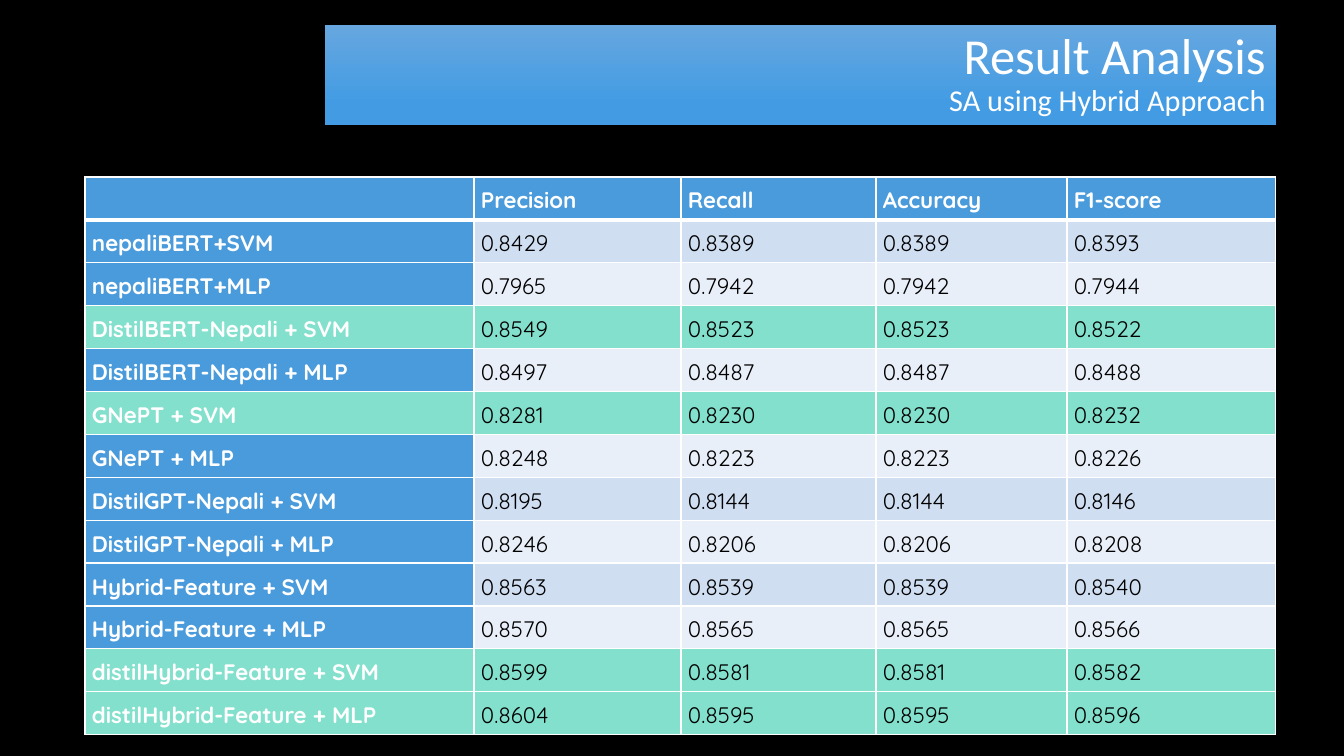
from lxml.etree import SubElement
from pptx import Presentation
from pptx.dml.color import RGBColor
from pptx.enum.text import MSO_ANCHOR, MSO_AUTO_SIZE, PP_ALIGN
from pptx.oxml.ns import qn
from pptx.util import Emu, Pt

TITLE_LINES = [("Result Analysis", 36), ("SA using Hybrid Approach", 21.6)]
METRICS = ["", "Precision", "Recall", "Accuracy", "F1-score"]
RESULTS = [
    ("nepaliBERT+SVM", "0.8429", "0.8389", "0.8389", "0.8393"),
    ("nepaliBERT+MLP", "0.7965", "0.7942", "0.7942", "0.7944"),
    ("DistilBERT-Nepali + SVM", "0.8549", "0.8523", "0.8523", "0.8522"),
    ("DistilBERT-Nepali + MLP", "0.8497", "0.8487", "0.8487", "0.8488"),
    ("GNePT + SVM", "0.8281", "0.8230", "0.8230", "0.8232"),
    ("GNePT + MLP", "0.8248", "0.8223", "0.8223", "0.8226"),
    ("DistilGPT-Nepali + SVM", "0.8195", "0.8144", "0.8144", "0.8146"),
    ("DistilGPT-Nepali + MLP", "0.8246", "0.8206", "0.8206", "0.8208"),
    ("Hybrid-Feature + SVM", "0.8563", "0.8539", "0.8539", "0.8540"),
    ("Hybrid-Feature + MLP", "0.8570", "0.8565", "0.8565", "0.8566"),
    ("distilHybrid-Feature + SVM", "0.8599", "0.8581", "0.8581", "0.8582"),
    ("distilHybrid-Feature + MLP", "0.8604", "0.8595", "0.8595", "0.8596"),
]
HIGHLIGHTED_ROWS = {3, 5, 11, 12}
COLUMN_WIDTHS = [389, 207, 195, 191, 209]

BLACK = RGBColor(0x00, 0x00, 0x00)
WHITE = RGBColor(0xFF, 0xFF, 0xFF)
BLUE = RGBColor(0x4A, 0x9B, 0xDC)
MINT = RGBColor(0x82, 0xE0, 0xCD)
BAND_DARK = RGBColor(0xD0, 0xDE, 0xF2)
BAND_LIGHT = RGBColor(0xE9, 0xEF, 0xF9)
TITLE_STOPS = [(0, RGBColor(0x66, 0xA7, 0xE0)), (0.78, RGBColor(0x43, 0x9C, 0xE3))]


def px(length):
    return Emu(round(length * 914400 / 100.8))


def add_title(slide):
    title = slide.shapes.title
    title.left, title.top, title.width, title.height = px(325), px(25), px(951), px(100)
    title.fill.gradient()
    title.fill.gradient_angle = 270
    for stop, (position, color) in zip(title.fill.gradient_stops, TITLE_STOPS):
        stop.position = position
        stop.color.rgb = color
    frame = title.text_frame
    frame.auto_size = MSO_AUTO_SIZE.NONE
    frame.vertical_anchor = MSO_ANCHOR.MIDDLE
    heading = frame.paragraphs[0]
    heading.text = "\n".join(line for line, size in TITLE_LINES)
    heading.alignment = PP_ALIGN.RIGHT
    heading.line_spacing = 0.9
    for line_break in heading._p.findall(qn("a:br")):
        SubElement(line_break, qn("a:rPr"), sz="3600")
    for run, (line, size) in zip(heading.runs, TITLE_LINES):
        run.font.name = "Calibri"
        run.font.size = Pt(size)
        run.font.color.rgb = WHITE


def add_borders(cell, bottom_width):
    properties = cell._tc.get_or_add_tcPr()
    for side, width in (("L", 1), ("R", 1), ("T", 1), ("B", bottom_width)):
        border = SubElement(properties, qn(f"a:ln{side}"), w=str(Pt(width)))
        SubElement(SubElement(border, qn("a:solidFill")), qn("a:srgbClr"), val=str(WHITE))


def cell_color(row, column):
    if row in HIGHLIGHTED_ROWS:
        return MINT
    if row == 0 or column == 0:
        return BLUE
    return BAND_DARK if row % 2 else BAND_LIGHT


def fill_cell(cell, text, row, column):
    is_heading = row == 0 or column == 0
    add_borders(cell, 3 if row == 0 else 1)
    cell.fill.solid()
    cell.fill.fore_color.rgb = cell_color(row, column)
    cell.vertical_anchor = MSO_ANCHOR.MIDDLE
    cell.margin_left = cell.margin_right = px(7)
    cell.margin_top = cell.margin_bottom = 0
    paragraph = cell.text_frame.paragraphs[0]
    paragraph.text = text
    paragraph.line_spacing = 1.15
    for run in paragraph.runs:
        run.font.name = "Quicksand"
        run.font.size = Pt(16)
        run.font.bold = is_heading
        run.font.color.rgb = WHITE if is_heading else BLACK


def add_results(slide):
    rows = [METRICS, *RESULTS]
    table = slide.shapes.add_table(
        len(rows), len(METRICS), px(85), px(177), px(sum(COLUMN_WIDTHS)), px(558)
    ).table
    for column, width in zip(table.columns, COLUMN_WIDTHS):
        column.width = px(width)
    for row, values in enumerate(rows):
        for column, text in enumerate(values):
            fill_cell(table.cell(row, column), text, row, column)


def main():
    deck = Presentation()
    deck.slide_width, deck.slide_height = px(1344), px(756)
    slide = deck.slides.add_slide(deck.slide_layouts[5])
    slide.background.fill.solid()
    slide.background.fill.fore_color.rgb = BLACK
    add_title(slide)
    add_results(slide)
    deck.save("out.pptx")


if __name__ == "__main__":
    main()
